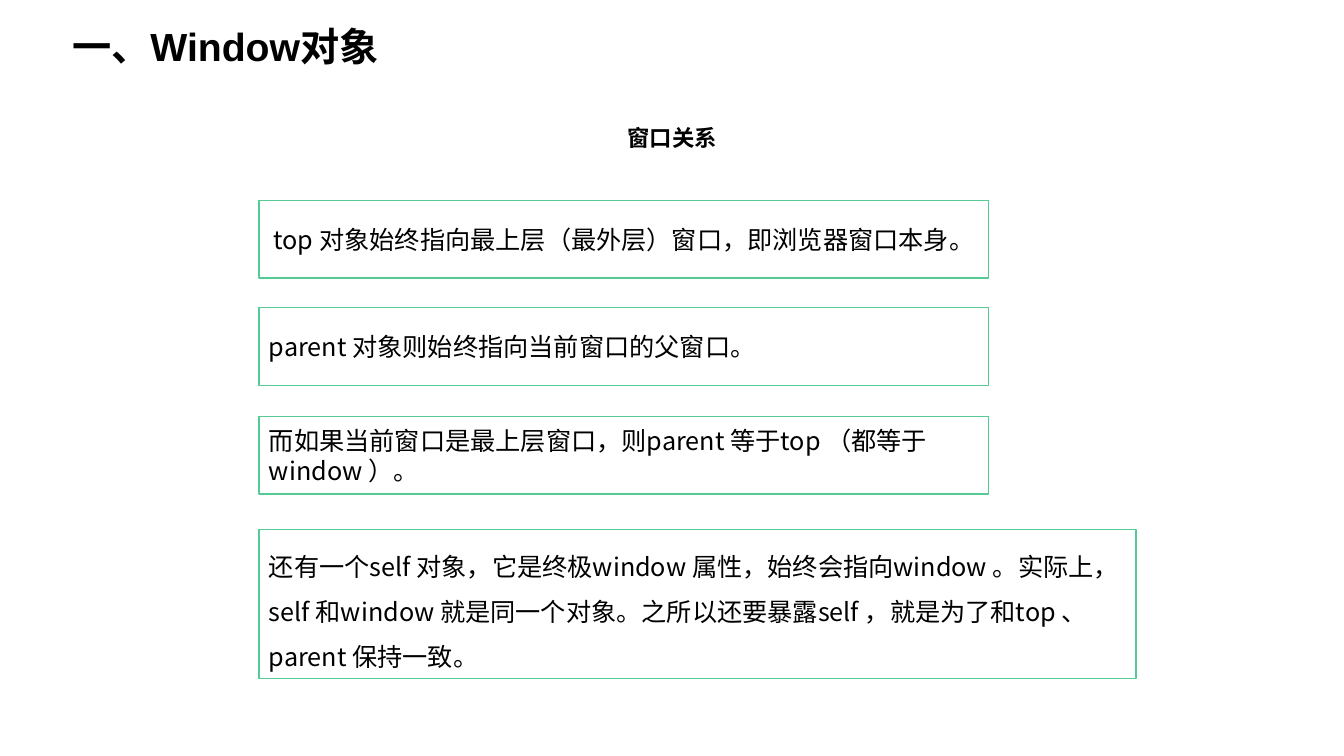
import pptx
import pptx.dml.color
import pptx.enum.shapes
import pptx.enum.text
import pptx.oxml.ns
import pptx.util
from lxml import etree

Cm = pptx.util.Cm
PP_ALIGN = pptx.enum.text.PP_ALIGN
COLORS = {"text": "000000", "box": "FFFFFF", "border": "56CA95"}
CJK_FONT = "Noto Sans CJK SC"
HEADING_FONT = "Arial"


def rgb(name):
    return pptx.dml.color.RGBColor.from_string(COLORS[name])


def write(frame, text, align, line_spacing, font_format):
    """Fill a text frame with one formatted paragraph, East Asian font included."""
    frame.word_wrap = True
    paragraph = frame.paragraphs[0]
    paragraph.alignment = align
    paragraph.line_spacing = line_spacing
    run = paragraph.add_run()
    run.text = text
    for attribute, value in font_format.items():
        setattr(run.font, attribute, value)
    run.font.color.rgb = rgb("text")
    east_asian = etree.SubElement(run.font._element, pptx.oxml.ns.qn("a:ea"))
    east_asian.set("typeface", CJK_FONT)


deck = pptx.Presentation()
deck.slide_width = Cm(33.87)
deck.slide_height = Cm(19.05)
slide = deck.slides.add_slide(deck.slide_layouts[6])

# Headings: text, left, top, width, height, size, alignment
headings = [
    ("一、Window对象", 1.57, 0.43, 17.17, 1.45, 28, PP_ALIGN.LEFT),
    ("窗口关系", 1.32, 3, 31.24, 0.94, 16, PP_ALIGN.CENTER),
]
for text, left, top, width, height, size, align in headings:
    heading = slide.shapes.add_textbox(Cm(left), Cm(top), Cm(width), Cm(height))
    heading_format = {"name": HEADING_FONT, "size": pptx.util.Pt(size), "bold": True}
    write(heading.text_frame, text, align, 1, heading_format)

# Statements: text, top, width, height, alignment, line spacing
statements = [
    ("top 对象始终指向最上层（最外层）窗口，即浏览器窗口本身。",
     5.05, 18.39, 1.96, PP_ALIGN.CENTER, 1),
    ("parent 对象则始终指向当前窗口的父窗口。",
     7.75, 18.39, 1.96, PP_ALIGN.LEFT, 1),
    ("而如果当前窗口是最上层窗口，则parent 等于top （都等于window ）。",
     10.49, 18.39, 1.96, PP_ALIGN.LEFT, 1),
    ("还有一个self 对象，它是终极window 属性，始终会指向window 。实际上，"
     "self 和window 就是同一个对象。之所以还要暴露self ，就是为了和top 、parent 保持一致。",
     13.34, 22.1, 3.76, PP_ALIGN.LEFT, 1.5),
]
statement_format = {"name": CJK_FONT, "size": pptx.util.Pt(18), "bold": False}
for text, top, width, height, align, line_spacing in statements:
    statement = slide.shapes.add_shape(
        pptx.enum.shapes.MSO_SHAPE.RECTANGLE, Cm(6.53), Cm(top), Cm(width), Cm(height))
    statement.shadow.inherit = False
    statement.fill.solid()
    statement.fill.fore_color.rgb = rgb("box")
    statement.line.color.rgb = rgb("border")
    statement.line.width = pptx.util.Pt(1)
    statement.text_frame.vertical_anchor = pptx.enum.text.MSO_ANCHOR.MIDDLE
    write(statement.text_frame, text, align, line_spacing, statement_format)

deck.save("out.pptx")
